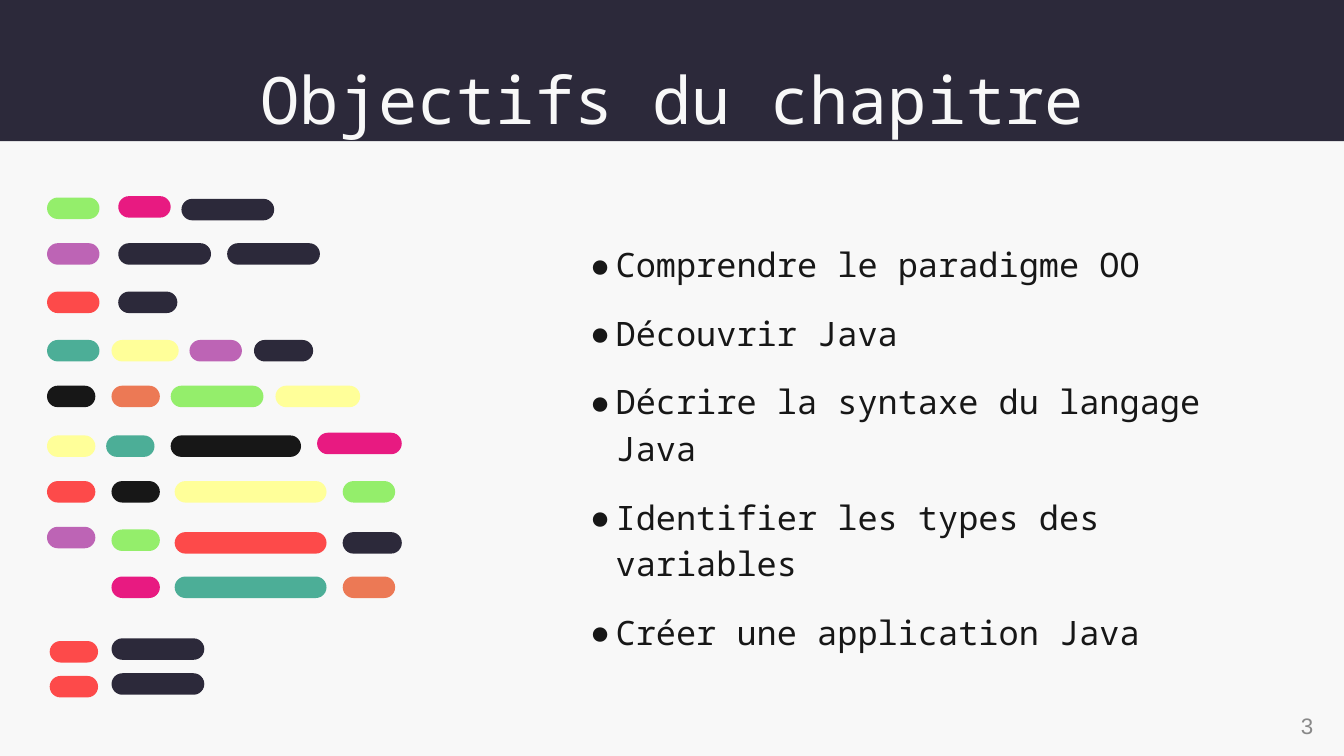
from lxml.etree import SubElement
from pptx import Presentation
from pptx.dml.color import RGBColor
from pptx.enum.shapes import MSO_SHAPE
from pptx.enum.text import MSO_ANCHOR, MSO_AUTO_SIZE, PP_ALIGN
from pptx.oxml.ns import qn
from pptx.util import Inches, Pt

DARK, BLACK, LIGHT, GRAY = "2C293A", "171717", "F8F8F8", "898989"
GREEN, PINK, PURPLE, RED = "94EE6B", "E81A81", "BD64B5", "FD4A4A"
TEAL, YELLOW, ORANGE = "4CAE97", "FFFF99", "EC7955"
MONO = "Noto Sans Mono"
BAR_HEIGHT = 0.16

# Each code line: top, then bars as (left, width, colour)
CODE_LINES = [
    (1.47, [(0.35, 0.39, GREEN)]),
    (1.46, [(0.88, 0.39, PINK)]),
    (1.48, [(1.35, 0.69, DARK)]),
    (1.81, [(0.35, 0.39, PURPLE), (0.88, 0.69, DARK), (1.69, 0.69, DARK)]),
    (2.17, [(0.35, 0.39, RED), (0.88, 0.44, DARK)]),
    (2.53, [(0.35, 0.39, TEAL), (0.83, 0.5, YELLOW), (1.41, 0.39, PURPLE),
            (1.89, 0.44, DARK)]),
    (2.87, [(0.35, 0.36, BLACK), (0.83, 0.36, ORANGE), (1.27, 0.69, GREEN),
            (2.05, 0.63, YELLOW)]),
    (3.24, [(0.35, 0.36, YELLOW), (0.79, 0.36, TEAL), (1.27, 0.97, BLACK)]),
    (3.22, [(2.36, 0.63, PINK)]),
    (3.58, [(0.35, 0.36, RED), (0.83, 0.36, BLACK), (1.3, 1.13, YELLOW),
            (2.55, 0.39, GREEN)]),
    (3.92, [(0.35, 0.36, PURPLE)]),
    (3.94, [(0.83, 0.36, GREEN)]),
    (3.96, [(1.3, 1.13, RED), (2.55, 0.44, DARK)]),
    (4.29, [(0.83, 0.36, PINK), (1.3, 1.13, TEAL), (2.55, 0.39, ORANGE)]),
    (4.77, [(0.37, 0.36, RED)]),
    (4.75, [(0.83, 0.69, DARK)]),
    (5.03, [(0.37, 0.36, RED)]),
    (5.01, [(0.83, 0.69, DARK)]),
]
GOALS = [
    "Comprendre le paradigme OO",
    "Découvrir Java",
    "Décrire la syntaxe du langage Java",
    "Identifier les types des variables",
    "Créer une application Java",
]


def rgb(color):
    return RGBColor.from_string(color)


def place(sp, left, top, width, height):
    sp.left, sp.top = Inches(left), Inches(top)
    sp.width, sp.height = Inches(width), Inches(height)


def add_block(shapes, kind, left, top, width, height, color):
    sp = shapes.add_shape(kind, Inches(left), Inches(top),
                          Inches(width), Inches(height))
    sp.shadow.inherit = False
    sp.fill.solid()
    sp.fill.fore_color.rgb = rgb(color)
    sp.line.fill.background()
    return sp


def set_frame(sp, anchor=MSO_ANCHOR.TOP, inset_y=0.1):
    tf = sp.text_frame
    tf.word_wrap = True
    tf.auto_size = MSO_AUTO_SIZE.NONE
    tf.vertical_anchor = anchor
    tf.margin_left = tf.margin_right = Inches(0.1)
    tf.margin_top = tf.margin_bottom = Inches(inset_y)
    return tf


def write(p, text, size=18, color=BLACK, font=MONO, align=PP_ALIGN.LEFT,
          before=0, spacing=1.0):
    p.alignment = align
    p.line_spacing = spacing
    p.space_before, p.space_after = Pt(before), Pt(0)
    r = p.add_run()
    r.text = text
    r.font.size, r.font.name = Pt(size), font
    r.font.color.rgb = rgb(color)


def set_bullet(p, color):
    pPr = p._p.get_or_add_pPr()
    pPr.set("marL", str(Inches(0.69)))
    pPr.set("indent", str(Inches(-0.19)))
    clr = SubElement(pPr, qn("a:buClr"))
    SubElement(clr, qn("a:srgbClr"), val=color)
    SubElement(pPr, qn("a:buFont"), typeface=MONO)
    SubElement(pPr, qn("a:buChar"), char="●")


def add_goals(sp):
    tf = set_frame(sp)
    for i, goal in enumerate(GOALS):
        p = tf.add_paragraph() if i else tf.paragraphs[0]
        set_bullet(p, BLACK)
        write(p, goal, before=12 if i else 0, spacing=1.15)


def add_code_art(s):
    group = s.shapes.add_group_shape()
    for top, bars in CODE_LINES:
        for left, width, color in bars:
            sp = add_block(group.shapes, MSO_SHAPE.ROUNDED_RECTANGLE,
                           left, top, width, BAR_HEIGHT, color)
            sp.adjustments[0] = 0.5


def main():
    # Widescreen 16:9 slide
    prs = Presentation()
    prs.slide_width, prs.slide_height = Inches(10), Inches(10 * 9 / 16)
    s = prs.slides.add_slide(prs.slide_layouts[1])
    s.background.fill.solid()
    s.background.fill.fore_color.rgb = rgb(LIGHT)

    # Header band, sent behind the title
    band = add_block(s.shapes, MSO_SHAPE.RECTANGLE, 0, -0.22, 10, 1.27, DARK)
    s.shapes._spTree.insert(2, band._element)

    # Title
    title = s.shapes.title
    place(title, 0.79, 0.34, 8.43, 0.63)
    write(set_frame(title).paragraphs[0], "Objectifs du chapitre", size=35,
          color=LIGHT, align=PP_ALIGN.CENTER)

    # Code illustration and list of goals
    add_code_art(s)
    body = s.placeholders[1]
    place(body, 3.79, 1.67, 5.43, 3.36)
    add_goals(body)

    # Slide number
    number = s.shapes.add_textbox(Inches(9.29), Inches(5.25),
                                  Inches(0.58), Inches(0.3))
    tf = set_frame(number, anchor=MSO_ANCHOR.MIDDLE, inset_y=0.05)
    write(tf.paragraphs[0], "3", size=12, color=GRAY, font="Arial",
          align=PP_ALIGN.RIGHT)

    prs.save("out.pptx")


if __name__ == "__main__":
    main()
